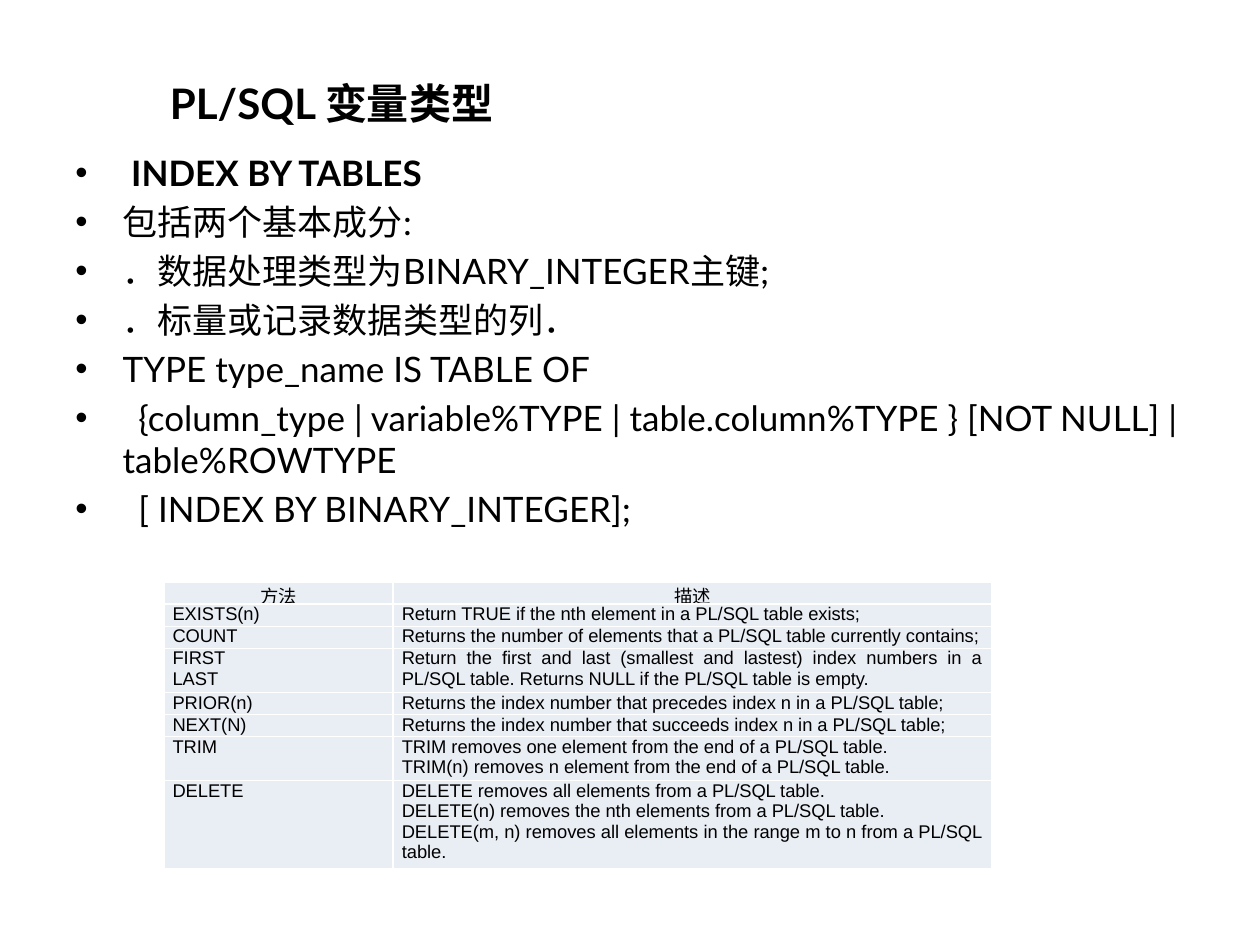
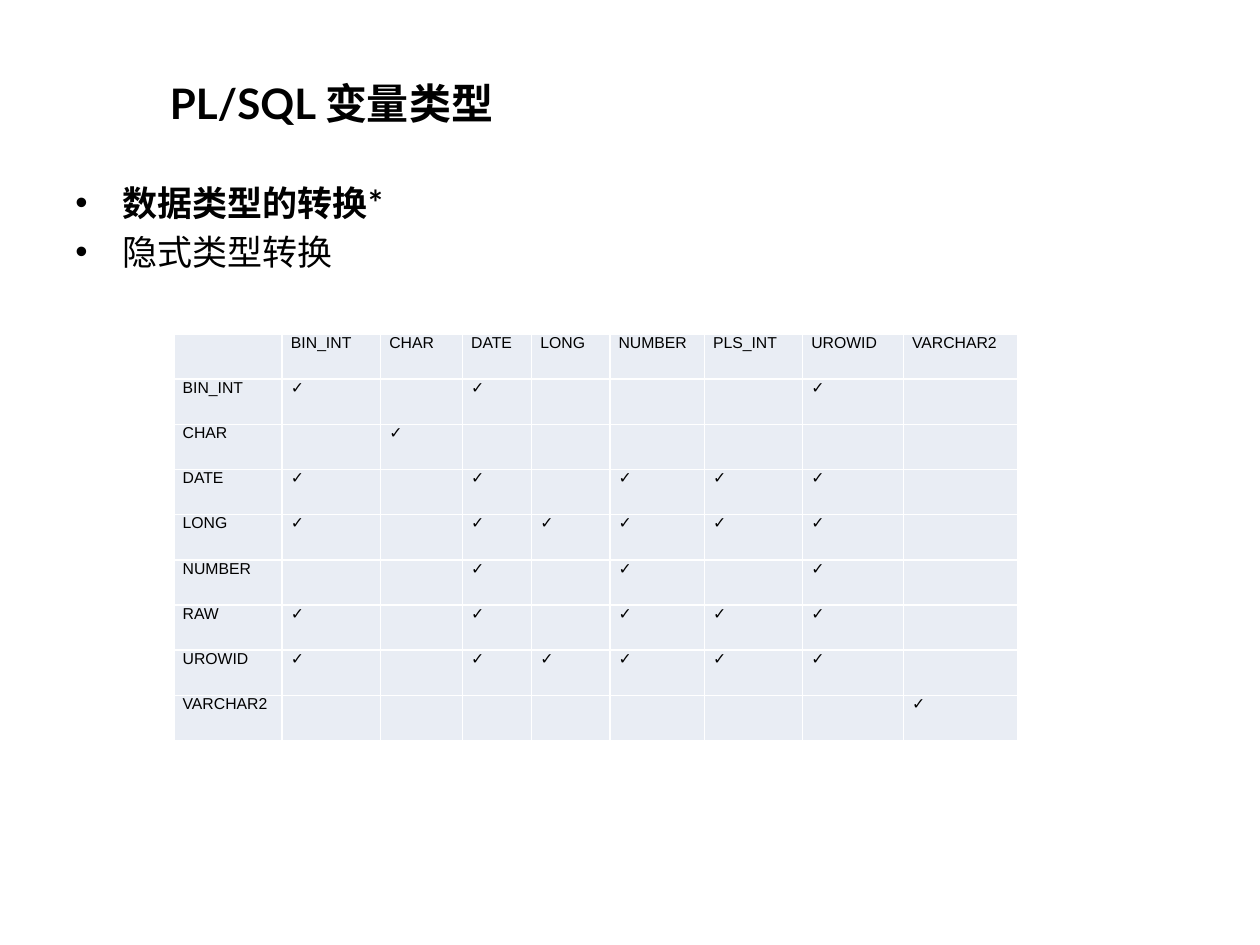
from pptx import Presentation
from pptx.dml.color import RGBColor
from pptx.enum.text import MSO_ANCHOR, PP_ALIGN
from pptx.oxml.ns import qn
from pptx.util import Inches, Pt
from lxml import etree

MIDDLE, TOP = MSO_ANCHOR.MIDDLE, MSO_ANCHOR.TOP
CENTER, JUSTIFY = PP_ALIGN.CENTER, PP_ALIGN.JUSTIFY

HEX = {"ink": "000000", "cell": "E9EDF4", "rule": "FFFFFF"}
FONT = {"text": "Lato", "table": "Arial"}

# The slide is a grid of 100 columns by 75 rows
WIDE, HIGH = Inches(10), Inches(7.5)
COL, ROW = WIDE / 100, HIGH / 75
INDENT = 3.75

TITLE = "PL/SQL 变量类型"
TITLE_BOX = (12.5, 2.3, 60.2, 11.7)

INDEX_LINES = [
    " INDEX BY TABLES",
    "包括两个基本成分:",
    "．数据处理类型为BINARY_INTEGER主键;",
    "．标量或记录数据类型的列．",
    "TYPE type_name IS TABLE OF",
    "\t{column_type | variable%TYPE | table.column%TYPE } [NOT NULL] | table%ROWTYPE",
    "\t[ INDEX BY BINARY_INTEGER];",
]
METHODS = [
    ("方法", "描述"),
    ("EXISTS(n)", "Return TRUE if the nth element in a PL/SQL table exists;"),
    ("COUNT", "Returns the number of elements that a PL/SQL table currently contains;"),
    ("FIRST\nLAST", "Return the first and last (smallest and lastest) index numbers in a "
     "PL/SQL table. Returns NULL if the PL/SQL table is empty."),
    ("PRIOR(n)", "Returns the index number that precedes index n in a PL/SQL table;"),
    ("NEXT(N)", "Returns the index number that succeeds index n in a PL/SQL table;"),
    ("TRIM", "TRIM removes one element from the end of a PL/SQL table.\n"
     "TRIM(n) removes n element from the end of a PL/SQL table."),
    ("DELETE", "DELETE removes all elements from a PL/SQL table.\n"
     "DELETE(n) removes the nth elements from a PL/SQL table.\n"
     "DELETE(m, n) removes all elements in the range m to n from a PL/SQL table."),
]
METHOD_LINES = [1, 1, 1, 2, 1, 1, 2, 4]

CAST_LINES = ["数据类型的转换*", "隐式类型转换"]
TARGETS = ["BIN_INT", "CHAR", "DATE", "LONG", "NUMBER", "PLS_INT", "UROWID", "VARCHAR2"]
# Targets each source type converts to, by column number
CASTS = {
    "BIN_INT": (0, 2, 6),
    "CHAR": (1,),
    "DATE": (0, 2, 4, 5, 6),
    "LONG": (0, 2, 3, 4, 5, 6),
    "NUMBER": (2, 4, 6),
    "RAW": (0, 2, 4, 5, 6),
    "UROWID": (0, 2, 3, 4, 5, 6),
    "VARCHAR2": (7,),
}


def place(box):
    x, y, w, h = box
    return int(x * COL), int(y * ROW), int(w * COL), int(h * ROW)


def style(par, size, font, bold=False):
    for run in par.runs:
        run.font.size = Pt(size)
        run.font.name = font
        run.font.bold = bold
        run.font.color.rgb = RGBColor.from_string(HEX["ink"])


def add_text(slide, box, text, anchor):
    frame = slide.shapes.add_textbox(*place(box)).text_frame
    frame.word_wrap = True
    frame.vertical_anchor = anchor
    frame.text = text
    return frame


def add_title(slide, box):
    frame = add_text(slide, box, TITLE, MIDDLE)
    style(frame.paragraphs[0], 24, FONT["text"], True)


def add_list(slide, box, lines):
    """Bulleted list whose first line is bold."""
    frame = add_text(slide, box, "\n".join(lines), TOP)
    for i, par in enumerate(frame.paragraphs):
        par.space_before = Pt(4)
        style(par, 20, FONT["text"], i == 0)
        props = par._p.get_or_add_pPr()
        props.set("marL", str(int(INDENT * COL)))
        props.set("indent", str(-int(INDENT * COL)))
        etree.SubElement(props, qn("a:buFont"), typeface="Arial")
        etree.SubElement(props, qn("a:buChar"), char="•")


def edge(cell):
    props = cell._tc.get_or_add_tcPr()
    for side in ("lnL", "lnR", "lnT", "lnB"):
        line = etree.SubElement(props, qn("a:" + side), w=str(Pt(1)))
        fill = etree.SubElement(line, qn("a:solidFill"))
        etree.SubElement(fill, qn("a:srgbClr"), val=HEX["rule"])


def add_grid(slide, spot, data, cols, rows, size, head):
    """Table at a spot, with column widths and row heights in grid units."""
    box = (*spot, sum(cols), sum(rows))
    table = slide.shapes.add_table(len(rows), len(cols), *place(box)).table
    table.first_row = table.horz_banding = False
    for col, wide in zip(table.columns, cols):
        col.width = int(wide * COL)
    for r, (row, high) in enumerate(zip(table.rows, rows)):
        row.height = int(high * ROW)
        for cell, text in zip(row.cells, data[r]):
            edge(cell)
            cell.fill.solid()
            cell.fill.fore_color.rgb = RGBColor.from_string(HEX["cell"])
            cell.margin_left = cell.margin_right = Inches(0.07)
            cell.margin_top = cell.margin_bottom = 0
            cell.text_frame.text = text
            for par in cell.text_frame.paragraphs:
                par.alignment = JUSTIFY if r else head
                style(par, size, FONT["table"])


def index_slide(slide):
    add_title(slide, TITLE_BOX)
    add_list(slide, (5, 11.5, 90, 63.5), INDEX_LINES)
    rows = [1.6 * n for n in METHOD_LINES]
    add_grid(slide, (13, 46.2), METHODS, [18.2, 47.5], rows, 10.5, CENTER)


def cast_slide(slide):
    add_title(slide, TITLE_BOX)
    add_list(slide, (5, 13.9, 90, 61.1), CAST_LINES)
    data = [["", *TARGETS]]
    for name, hits in CASTS.items():
        data.append([name] + ["✓" if i in hits else "" for i in range(len(TARGETS))])
    cols = [8.6, 7.8, 6.5, 5.5, 6.2, 7.5, 7.8, 8, 9.1]
    add_grid(slide, (13.8, 26.5), data, cols, [3.59] * len(data), 9, JUSTIFY)


def main():
    deck = Presentation()
    deck.slide_width, deck.slide_height = WIDE, HIGH
    for build in (index_slide, cast_slide):
        build(deck.slides.add_slide(deck.slide_layouts[6]))
    deck.save("out.pptx")


if __name__ == "__main__":
    main()
